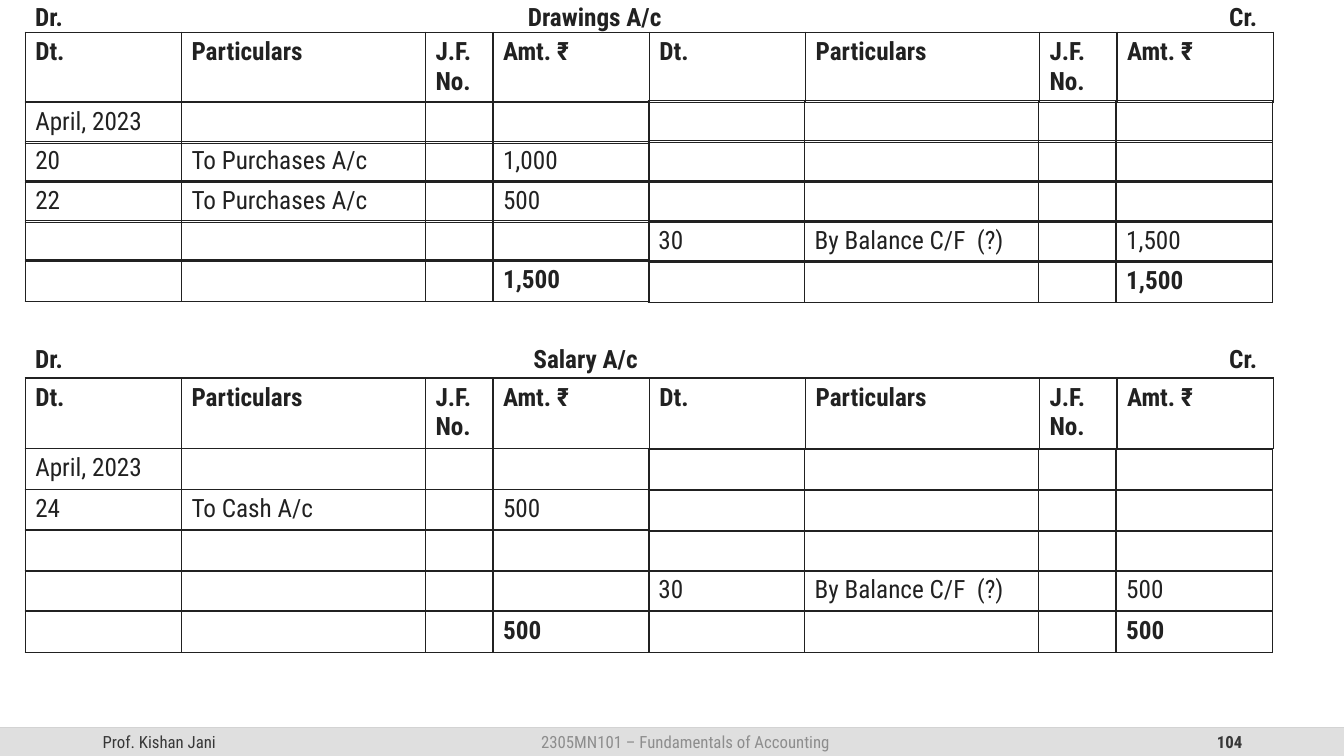
from dataclasses import dataclass

from lxml.etree import SubElement
from pptx import Presentation
from pptx.dml.color import RGBColor
from pptx.enum.shapes import MSO_CONNECTOR, MSO_SHAPE
from pptx.enum.text import MSO_ANCHOR, PP_ALIGN
from pptx.oxml import parse_xml
from pptx.oxml.ns import nsdecls, qn
from pptx.util import Inches, Pt

INK = RGBColor(0x21, 0x21, 0x21)
DARK = RGBColor(0x37, 0x37, 0x37)
GREY = RGBColor(0x8D, 0x8D, 0x8D)
BAR = RGBColor(0xDF, 0xDF, 0xDF)
RULE = RGBColor(0xBF, 0xBF, 0xBF)

FACE = "Roboto Condensed"
BODY = {"name": FACE, "size": Pt(18), "bold": False}
BOLD = {**BODY, "bold": True}
FOOT = {**BODY, "size": Pt(12)}

WIDE, HIGH = 13.33, 7.5
EDGE, HALF = 0.25, 6.18
HEAD_H, ROW_H = 0.69, 0.41
FOOT_TOP, FOOT_H = 7.22, 0.28
DEBIT = (1.55, 2.42, 0.67, 1.55)
CREDIT = (1.55, 2.32, 0.77, 1.55)
HEADS = ("Dt.", "Particulars", "J.F.\nNo.", "Amt. ₹")
BLANK = ("",) * 4


@dataclass(frozen=True)
class Side:
    """Rows of one side; first and last are the tops of its end rows."""
    first: float
    last: float
    rows: tuple[tuple[str, ...], ...]


@dataclass(frozen=True)
class Ledger:
    name: str
    name_top: float
    center: float
    head_top: float
    debit: Side
    credit: Side


@dataclass(frozen=True)
class Note:
    text: str
    left: float
    width: float
    align: PP_ALIGN
    color: RGBColor
    bold: bool = False


LEDGERS = (
    Ledger(
        "Drawings A/c", -0.04, 5.55, 0.32,
        Side(1.01, 2.58, (
            ("April, 2023", "", "", ""),
            ("20", "To Purchases A/c", "", "1,000"),
            ("22", "To Purchases A/c", "", "500"),
            BLANK,
            ("", "", "", "1,500"),
        )),
        Side(1.0, 2.59, (
            BLANK, BLANK, BLANK,
            ("30", "By Balance C/F  (?)", "", "1,500"),
            ("", "", "", "1,500"),
        )),
    ),
    Ledger(
        "Salary A/c", 3.36, 5.46, 3.75,
        Side(4.45, 6.06, (
            ("April, 2023", "", "", ""),
            ("24", "To Cash A/c", "", "500"),
            BLANK, BLANK,
            ("", "", "", "500"),
        )),
        Side(4.46, 6.06, (
            BLANK, BLANK, BLANK,
            ("30", "By Balance C/F  (?)", "", "500"),
            ("", "", "", "500"),
        )),
    ),
)

NOTES = (
    Note("Prof. Kishan Jani", 0.92, 3, PP_ALIGN.LEFT, DARK),
    Note("2305MN101 – Fundamentals of Accounting", 4.18, 5.24, PP_ALIGN.CENTER, GREY),
    Note("104", 9.42, 3, PP_ALIGN.RIGHT, DARK, True),
)


def style(font, form: dict, color: RGBColor = INK) -> None:
    for key, value in form.items():
        setattr(font, key, value)
    font.color.rgb = color


def border(cell) -> None:
    props = cell._tc.get_or_add_tcPr()
    for spot, edge in enumerate(("lnL", "lnR", "lnT", "lnB")):
        props.insert(spot, parse_xml(
            f'<a:{edge} {nsdecls("a")} w="12700"><a:solidFill>'
            f'<a:srgbClr val="{INK}"/></a:solidFill></a:{edge}>'))


def add_row(slide, left: float, top: float, cols: tuple[float, ...],
            texts: tuple[str, ...], height: float, form: dict) -> None:
    table = slide.shapes.add_table(
        1, len(cols), Inches(left), Inches(top),
        Inches(sum(cols)), Inches(height)).table
    table.first_row = table.horz_banding = False
    for col, width in zip(table.columns, cols):
        col.width = Inches(width)
    for cell, text in zip(table.rows[0].cells, texts):
        cell.fill.background()
        border(cell)
        cell.text = text
        for para in cell.text_frame.paragraphs:
            for run in para.runs:
                style(run.font, form)


def add_box(slide, left: float, top: float, width: float, height: float,
            text: str, form: dict, color: RGBColor = INK):
    frame = slide.shapes.add_textbox(
        Inches(left), Inches(top), Inches(width), Inches(height)).text_frame
    frame.word_wrap = True
    para = frame.paragraphs[0]
    run = para.add_run()
    run.text = text
    style(run.font, form, color)
    return frame


def add_name(slide, ledger: Ledger) -> None:
    frame = add_box(slide, EDGE, ledger.name_top, 2 * HALF, 0.4,
                    f"Dr.\t{ledger.name}\tCr.", BOLD)
    tabs = SubElement(frame.paragraphs[0]._p.get_or_add_pPr(), qn("a:tabLst"))
    for pos, kind in ((ledger.center, "ctr"), (12.12, "r")):
        SubElement(tabs, qn("a:tab"), pos=str(Inches(pos)), algn=kind)


def add_side(slide, left: float, cols: tuple[float, ...], side: Side) -> None:
    end = len(side.rows) - 1
    step = (side.last - side.first) / end
    for spot, texts in enumerate(side.rows):
        form = BOLD if spot == end else BODY
        add_row(slide, left, side.first + spot * step, cols, texts, ROW_H, form)


def add_foot(slide) -> None:
    line = slide.shapes.add_connector(
        MSO_CONNECTOR.STRAIGHT, 0, Inches(FOOT_TOP), Inches(WIDE), Inches(FOOT_TOP))
    line.line.color.rgb = RULE
    line.line.width = Pt(1)
    props = line._element.spPr
    SubElement(props.find(".//" + qn("a:srgbClr")), qn("a:alpha"), val="70000")
    SubElement(props, qn("a:effectLst"))

    bar = slide.shapes.add_shape(
        MSO_SHAPE.ROUNDED_RECTANGLE, 0, Inches(FOOT_TOP), Inches(WIDE), Inches(FOOT_H))
    bar.adjustments[0] = 0
    bar.shadow.inherit = False
    bar.fill.solid()
    bar.fill.fore_color.rgb = BAR
    bar.line.fill.background()

    for note in NOTES:
        frame = add_box(slide, note.left, FOOT_TOP, note.width, FOOT_H,
                        note.text, {**FOOT, "bold": note.bold}, note.color)
        frame.vertical_anchor = MSO_ANCHOR.MIDDLE
        frame.paragraphs[0].alignment = note.align


def main() -> None:
    deck = Presentation()
    deck.slide_width, deck.slide_height = Inches(WIDE), Inches(HIGH)
    slide = deck.slides.add_slide(deck.slide_layouts.get_by_name("Blank"))

    # Footer band
    add_foot(slide)

    # Ledger accounts
    for ledger in LEDGERS:
        add_row(slide, EDGE, ledger.head_top, DEBIT + CREDIT, HEADS * 2, HEAD_H, BOLD)
        add_name(slide, ledger)
        add_side(slide, EDGE, DEBIT, ledger.debit)
        add_side(slide, EDGE + HALF, CREDIT, ledger.credit)

    deck.save("out.pptx")


if __name__ == "__main__":
    main()
